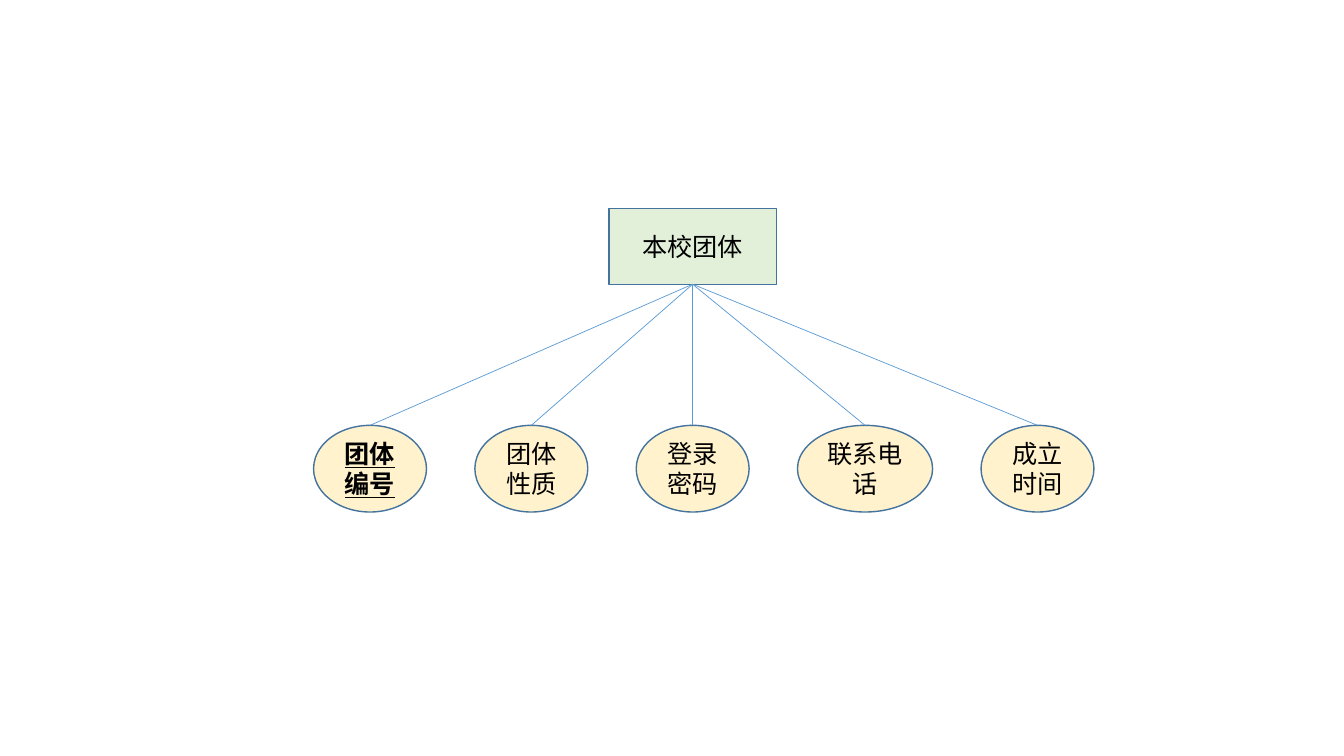
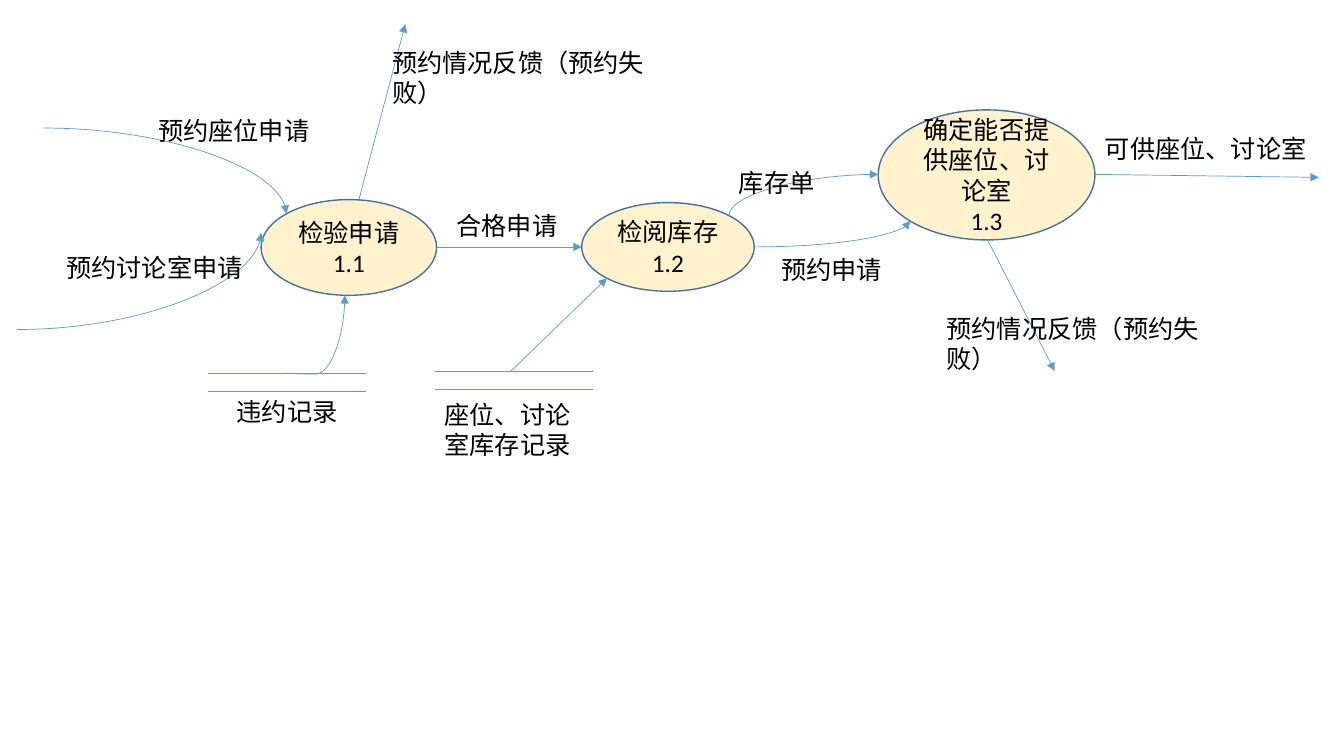
from dataclasses import dataclass

from lxml import etree
from pptx import Presentation
from pptx.dml.color import RGBColor
from pptx.enum.shapes import MSO_CONNECTOR, MSO_SHAPE
from pptx.enum.text import MSO_ANCHOR, MSO_AUTO_SIZE, PP_ALIGN
from pptx.oxml.ns import qn
from pptx.util import Emu, Pt

PX = 9144  # EMU per px, 100 px to the inch
RECT, ELLIPSE = MSO_SHAPE.RECTANGLE, MSO_SHAPE.OVAL
STRAIGHT, CURVE = MSO_CONNECTOR.STRAIGHT, MSO_CONNECTOR.CURVE
CENTER, LEFT = PP_ALIGN.CENTER, PP_ALIGN.LEFT
MIDDLE, TOP = MSO_ANCHOR.MIDDLE, MSO_ANCHOR.TOP
GROW = MSO_AUTO_SIZE.SHAPE_TO_FIT_TEXT
SITE_TOP, SITE_BOTTOM = 0, 2


@dataclass(frozen=True)
class Theme:
    entity: RGBColor = RGBColor.from_string("E2F0D9")
    bubble: RGBColor = RGBColor.from_string("FFF2CC")
    outline: RGBColor = RGBColor.from_string("43739E")
    link: RGBColor = RGBColor.from_string("5B9BD5")
    text: RGBColor = RGBColor.from_string("000000")
    font: str = "Calibri"
    size: Pt = Pt(18)
    outline_width: Pt = Pt(1)
    link_width: Pt = Pt(0.5)


def emu(*lengths):
    return [Emu(round(n * PX)) for n in lengths]


class Diagram:
    """Holds the theme and the slide being drawn."""

    def __init__(self, prs, theme):
        self.prs, self.theme, self.s = prs, theme, None

    def new_slide(self):
        self.s = self.prs.slides.add_slide(self.prs.slide_layouts[6])

    def set_text(self, tf, text, align, anchor, **extra):
        t = self.theme
        tf.word_wrap, tf.vertical_anchor = True, anchor
        look = {"name": t.font, "size": t.size, **extra}
        for i, line in enumerate(text.split("\n")):
            p = tf.paragraphs[0] if i == 0 else tf.add_paragraph()
            p.alignment = align
            r = p.add_run()
            r.text = line
            for key, value in look.items():
                setattr(r.font, key, value)
            r.font.color.rgb = t.text

    def node(self, kind, box, text, fill, **extra):
        t = self.theme
        sp = self.s.shapes.add_shape(kind, *emu(*box))
        sp.shadow.inherit = False
        sp.fill.solid()
        sp.fill.fore_color.rgb = fill
        sp.line.color.rgb = t.outline
        sp.line.width = t.outline_width
        self.set_text(sp.text_frame, text, CENTER, MIDDLE, **extra)
        return sp

    def bubble(self, box, text, **extra):
        return self.node(ELLIPSE, box, text, self.theme.bubble, **extra)

    def label(self, box, text):
        tf = self.s.shapes.add_textbox(*emu(*box)).text_frame
        self.set_text(tf, text, LEFT, TOP)
        tf.auto_size = GROW

    def line(self, start, end, arrow=False, kind=STRAIGHT):
        cxn = self.s.shapes.add_connector(kind, *emu(*start, *end))
        cxn.line.color.rgb = self.theme.link
        cxn.line.width = self.theme.link_width
        sp_pr = cxn._element.spPr
        if arrow:
            ln = sp_pr.find(qn("a:ln"))
            etree.SubElement(ln, qn("a:tailEnd"), type="triangle")
        etree.SubElement(sp_pr, qn("a:effectLst"))
        return cxn

    def curve(self, start, end, preset="curvedConnector2", upright=False, adj=None):
        """Curved arrow; upright makes it leave the start vertically."""
        if upright:  # turn the ends back a quarter, then rotate the connector
            cx, cy = [(a + b) / 2 for a, b in zip(start, end)]
            start, end = [(cx + y - cy, cy - x + cx) for x, y in (start, end)]
        sp_pr = self.line(start, end, True, CURVE)._element.spPr
        if upright:
            sp_pr.find(qn("a:xfrm")).set("rot", str(90 * 60000))
        geom = sp_pr.find(qn("a:prstGeom"))
        geom.set("prst", preset)
        if adj is not None:
            guides = geom.find(qn("a:avLst"))
            if guides is None:
                guides = etree.SubElement(geom, qn("a:avLst"))
            etree.SubElement(guides, qn("a:gd"), name="adj1", fmla=f"val {adj}")

    def store(self, left, top):
        """Data store: two parallel rules."""
        for y in (top, top + 18):
            self.line((left, y), (left + 157, y))


def entity_slide(d):
    d.new_slide()
    entity = d.node(RECT, (604, 207, 166, 75), "本校团体", d.theme.entity)
    key = {"bold": True, "underline": True}
    attributes = [("团体编号", 112, key), ("团体性质", 112, {}),
                  ("登录密码", 112, {}), ("联系电话", 134, {}),
                  ("成立时间", 112, {})]
    left, gap = 311, 48
    for text, width, extra in attributes:
        sp = d.bubble((left, 422, width, 86), text, **extra)
        cxn = d.line((0, 0), (0, 0))
        cxn.begin_connect(entity, SITE_BOTTOM)
        cxn.end_connect(sp, SITE_TOP)
        left += width + gap


def data_flow_slide(d):
    d.new_slide()
    for box, text in [((259, 198, 174, 95), "检验申请\n1.1"),
                      ((577, 201, 171, 88), "检阅库存\n1.2"),
                      ((871, 109, 215, 129), "确定能否提供座位、讨论室\n1.3")]:
        d.bubble(box, text)

    d.store(206, 370)
    d.store(431, 368)

    for start, end in [((433, 245), (577, 245)), ((507, 368), (602, 276)),
                       ((1086, 173), (1308, 176)), ((356, 198), (402, 24)),
                       ((979, 237), (1046, 368))]:
        d.line(start, end, arrow=True)

    for start, end in [((43, 127), (284, 212)), ((17, 327), (259, 231)),
                       ((748, 245), (903, 219))]:
        d.curve(start, end)
    d.curve((723, 214), (871, 173), upright=True)
    d.curve((284, 370), (342, 293), "curvedConnector3", upright=True, adj=-1500)

    failed = "预约情况反馈（预约失败）"
    for box, text in [((147, 109, 172, 40), "预约座位申请"),
                      ((56, 245, 199, 40), "预约讨论室申请"),
                      ((443, 204, 126, 40), "合格申请"),
                      ((431, 391, 167, 71), "座位、讨论室库存记录"),
                      ((723, 161, 116, 40), "库存单"),
                      ((765, 247, 147, 40), "预约申请"),
                      ((1086, 127, 242, 40), "可供座位、讨论室"),
                      ((225, 388, 167, 40), "违约记录"),
                      ((379, 42, 316, 71), failed),
                      ((929, 306, 316, 71), failed)]:
        d.label(box, text)


def main():
    prs = Presentation()
    prs.slide_width, prs.slide_height = emu(1333, 750)
    d = Diagram(prs, Theme())
    entity_slide(d)
    data_flow_slide(d)
    prs.save("out.pptx")


if __name__ == "__main__":
    main()
